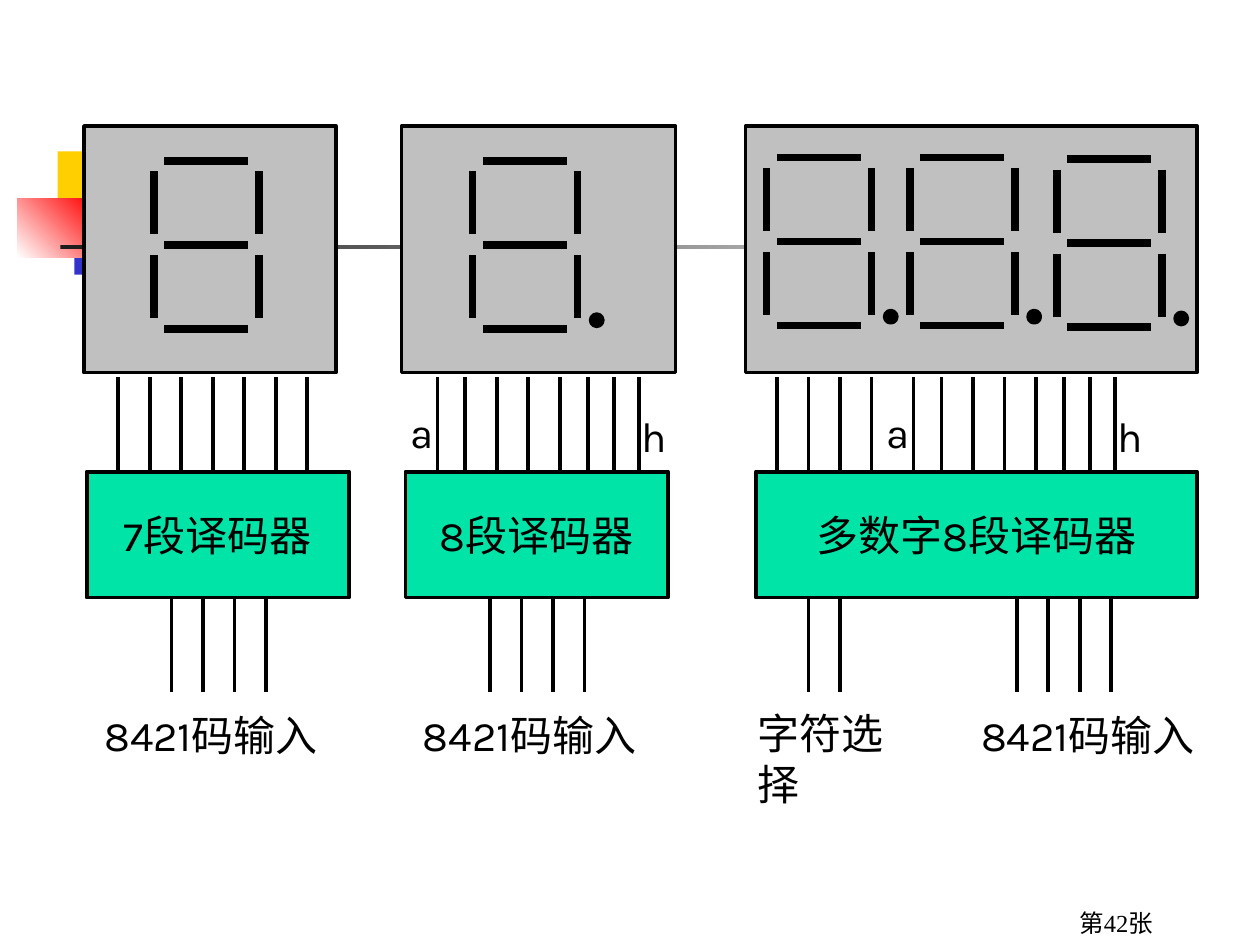
from pptx import Presentation
from pptx.dml.color import RGBColor
from pptx.enum.shapes import MSO_CONNECTOR, MSO_SHAPE
from pptx.enum.text import MSO_ANCHOR, MSO_AUTO_SIZE, PP_ALIGN
from pptx.oxml.ns import qn
from pptx.util import Pt
from lxml.etree import SubElement


class Theme:
    black = RGBColor(0, 0, 0)
    display = RGBColor(0xC0, 0xC0, 0xC0)
    decoder = RGBColor(0x00, 0xE4, 0xA8)
    yellow = RGBColor(0xFF, 0xCF, 0x01)
    blue = RGBColor(0x33, 0x33, 0xCC)
    red_fade = (RGBColor(0xFF, 0, 0), RGBColor(0xFF, 0xFF, 0xFF), 225)
    grey_fade = (RGBColor(0x1C, 0x1C, 0x1C), RGBColor(0xFF, 0xFF, 0xFF), 0)
    body = {"name": "Karla", "size": Pt(24)}
    footer = {"name": "Times New Roman", "size": Pt(14)}
    segment, wire, frame, dot = 4.5, 2.25, 2, 3


# Content: lengths in points; boxes are (left, top, width, height)
DECORATIONS = [
    ((33, 86.5, 35, 37.5), Theme.yellow),
    ((42.5, 119.5, 33, 37.5), Theme.blue),
    ((10, 113.5, 44, 33.5), Theme.red_fade),
    ((34.5, 140, 648, 2.5), Theme.grey_fade),
]
EIGHT_PINS = [0, 16, 34, 52, 70, 86, 101, 115]
UNITS = [
    {
        "display": (48, 72, 144, 141), "digits": [(88, 92)], "point": False,
        "decoder": ("7段译码器", (49.5, 269.5, 150, 72)),
        "outputs": [67.5 + 18 * i for i in range(7)],
        "inputs": [98 + 18 * i for i in range(4)],
        "labels": [("8421码输入", (52.5, 402, 145.5, 36))],
    },
    {
        "display": (229.5, 72, 156.5, 141), "digits": [(270, 92)], "point": True,
        "decoder": ("8段译码器", (231.75, 269.5, 150, 72)),
        "outputs": [250 + x for x in EIGHT_PINS],
        "inputs": [280 + 18 * i for i in range(4)],
        "labels": [
            ("8421码输入", (234.5, 402, 145.5, 36)),
            ("a", (227.5, 228.5, 27.5, 36)),
            ("h", (359.5, 231, 29, 36)),
        ],
    },
    {
        "display": (426, 72, 258, 141),
        "digits": [(604, 91), (520, 90), (438, 90)], "point": True,
        "decoder": ("多数字8段译码器", (432, 269.5, 252, 72)),
        "outputs": [444 + 18 * i for i in range(4)] + [522 + x for x in EIGHT_PINS],
        "inputs": [462, 480] + [581 + 18 * i for i in range(4)],
        "labels": [
            ("8421码输入", (553.5, 402, 145.5, 36)),
            ("字符选择", (426, 401, 110, 36)),
            ("a", (499.5, 228.5, 27.5, 36)),
            ("h", (631.5, 231, 29, 36)),
        ],
    },
]
PAGE_NUMBER = ("第42张", (516, 515.5, 150, 24))

# Seven segments of a digit, measured from its top left corner
SEGMENTS = [(6, y, 54, y) for y in (0, 48, 96)] + [
    (x, y, x, y + 36) for x in (0, 60) for y in (6, 54)
]
DOT_OFFSET, DOT_SIZE = (68, 88), 6
WIRE_LENGTH, WIRE_TOP = 54, 215.5

deck = Presentation()
deck.slide_width, deck.slide_height = Pt(720), Pt(540)
page = deck.slides.add_slide(deck.slide_layouts[6])


def add_box(place, fill, line=None, kind=MSO_SHAPE.RECTANGLE):
    box = page.shapes.add_shape(kind, *map(Pt, place))
    box.shadow.inherit = False
    if isinstance(fill, RGBColor):
        box.fill.solid()
        box.fill.fore_color.rgb = fill
    else:
        *colours, angle = fill
        box.fill.gradient()
        box.fill.gradient_angle = angle
        for stop, colour in zip(box.fill.gradient_stops, colours):
            stop.color.rgb = colour
    if line:
        box.line.color.rgb = Theme.black
        box.line.width = Pt(line)
    else:
        box.line.fill.background()
    return box


def add_line(x1, y1, x2, y2, width):
    line = page.shapes.add_connector(
        MSO_CONNECTOR.STRAIGHT, Pt(x1), Pt(y1), Pt(x2), Pt(y2))
    line.line.color.rgb = Theme.black
    line.line.width = Pt(width)
    SubElement(line._element.spPr, qn("a:effectLst"))


def write(box, text, style, align, wrap=False):
    box.text_frame.word_wrap = wrap
    para = box.text_frame.paragraphs[0]
    para.alignment = align
    span = para.add_run()
    span.text = text
    for name, value in style.items():
        setattr(span.font, name, value)
    span.font.color.rgb = Theme.black


def add_label(text, place, style, align, wrap=False):
    box = page.shapes.add_textbox(*map(Pt, place))
    write(box, text, style, align, wrap)
    if not wrap:
        box.text_frame.auto_size = MSO_AUTO_SIZE.SHAPE_TO_FIT_TEXT


# Background ornament
for place, fill in DECORATIONS:
    add_box(place, fill)

for unit in UNITS:
    # Display with its digits and decimal points
    add_box(unit["display"], Theme.display, Theme.frame)
    for left, top in unit["digits"]:
        for x1, y1, x2, y2 in SEGMENTS:
            add_line(left + x1, top + y1, left + x2, top + y2, Theme.segment)
        if unit["point"]:
            dot_place = (left + DOT_OFFSET[0], top + DOT_OFFSET[1], DOT_SIZE, DOT_SIZE)
            add_box(dot_place, Theme.black, Theme.dot, MSO_SHAPE.FLOWCHART_CONNECTOR)

    # Decoder with wires above and below
    name, place = unit["decoder"]
    decoder = add_box(place, Theme.decoder, Theme.wire)
    decoder.text_frame.vertical_anchor = MSO_ANCHOR.MIDDLE
    write(decoder, name, Theme.body, PP_ALIGN.CENTER)
    for wires, top in ((unit["outputs"], WIRE_TOP), (unit["inputs"], place[1] + place[3])):
        for x in wires:
            add_line(x, top, x, top + WIRE_LENGTH, Theme.wire)

    # Signal names
    for text, place in unit["labels"]:
        add_label(text, place, Theme.body, PP_ALIGN.LEFT)

# Page number
add_label(*PAGE_NUMBER, Theme.footer, PP_ALIGN.RIGHT, wrap=True)

deck.save("out.pptx")
